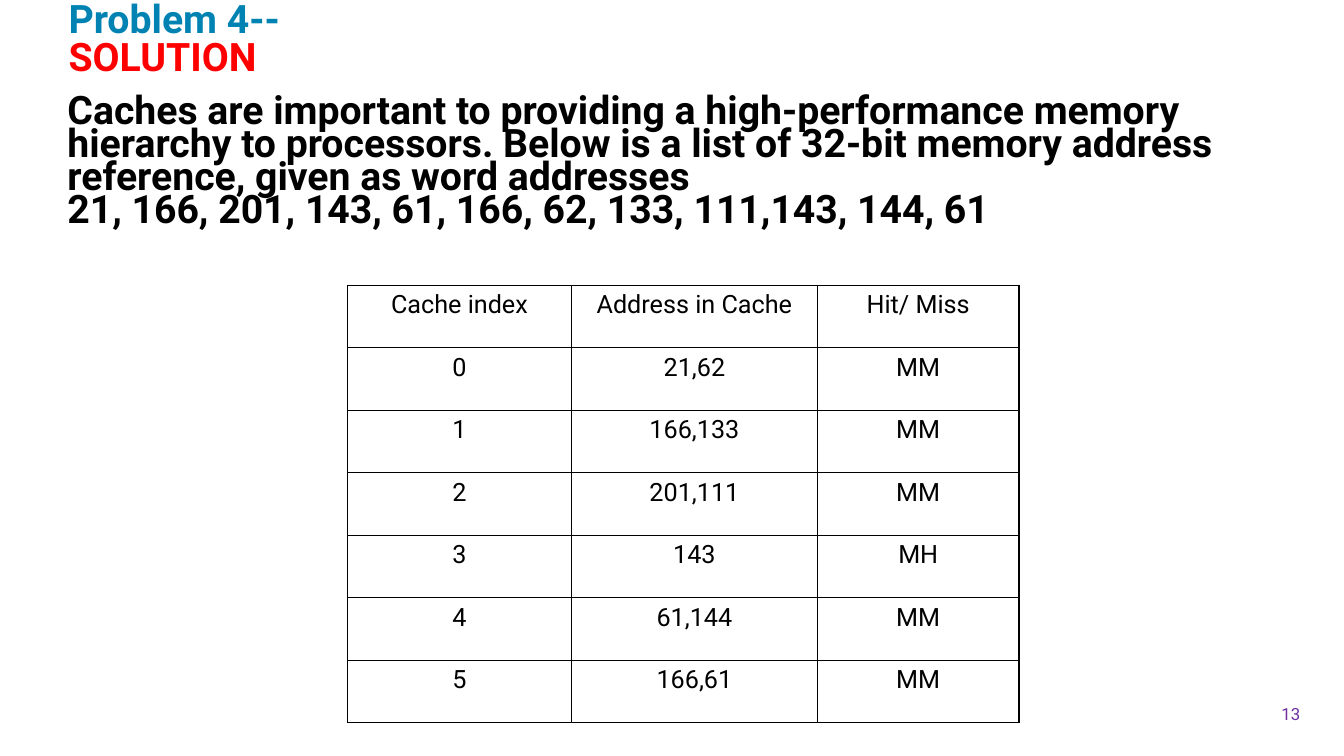
import pptx
import pptx.dml.color
import pptx.enum.text
import pptx.oxml
import pptx.oxml.ns
import pptx.util
from pptx.dml.color import RGBColor
from pptx.enum.text import MSO_ANCHOR, PP_ALIGN
from pptx.util import Cm

BLUE = RGBColor(0x00, 0x83, 0xB3)
RED = RGBColor(0xFF, 0x00, 0x00)
BLACK = RGBColor(0x00, 0x00, 0x00)
PURPLE = RGBColor(0x70, 0x30, 0xA0)

CACHE_ROWS = [
    ("Cache index", "Address in Cache", "Hit/ Miss"),
    ("0", "21,62", "MM"),
    ("1", "166,133", "MM"),
    ("2", "201,111", "MM"),
    ("3", "143", "MH"),
    ("4", "61,144", "MM"),
    ("5", "166,61", "MM"),
]
COLUMN_WIDTHS = [5.64, 6.2, 5.08]


def add_span(para, text, size=28, color=BLACK, bold=False):
    span = para.add_run()
    span.text = text
    span.font.name = "Roboto"
    span.font.size = pptx.util.Pt(size)
    span.font.bold = bold
    span.font.color.rgb = color


def add_box(page, left, top, width, height, anchor):
    """Add a wrapping text box, in centimetres, and return its first paragraph."""
    box = page.shapes.add_textbox(Cm(left), Cm(top), Cm(width), Cm(height))
    box.text_frame.word_wrap = True
    box.text_frame.vertical_anchor = anchor
    return box.text_frame.paragraphs[0]


deck = pptx.Presentation()
deck.slide_width = Cm(33.87)
deck.slide_height = Cm(19.05)
page = deck.slides.add_slide(deck.slide_layouts[6])

# Slide number
para = add_box(page, 30.68, 17.48, 2.34, 1.02, MSO_ANCHOR.MIDDLE)
para.alignment = PP_ALIGN.RIGHT
add_span(para, "13", size=12, color=PURPLE)

# Title
para = add_box(page, 1.48, 0.64, 10.59, 1.47, MSO_ANCHOR.BOTTOM)
para.line_spacing = 0.8
add_span(para, "Problem 4-- ", color=BLUE, bold=True)
add_span(para, "SOLUTION", color=RED, bold=True)

# Cache table
table = page.shapes.add_table(
    len(CACHE_ROWS), len(COLUMN_WIDTHS),
    Cm(8.76), Cm(7.19), Cm(sum(COLUMN_WIDTHS)), Cm(11.02),
).table
table.first_row = False
table.horz_banding = False
for column, width in zip(table.columns, COLUMN_WIDTHS):
    column.width = Cm(width)

for row, texts in zip(table.rows, CACHE_ROWS):
    for cell, text in zip(row.cells, texts):
        cell.fill.background()
        properties = cell._tc.get_or_add_tcPr()
        for position, side in enumerate(("lnL", "lnR", "lnT", "lnB")):
            border = pptx.oxml.parse_xml(
                f'<a:{side} {pptx.oxml.ns.nsdecls("a")} w="12700">'
                f'<a:solidFill><a:srgbClr val="{BLACK}"/></a:solidFill></a:{side}>'
            )
            properties.insert(position, border)
        para = cell.text_frame.paragraphs[0]
        para.alignment = PP_ALIGN.CENTER
        add_span(para, text, size=18)

# Problem statement
para = add_box(page, 1.45, 2.11, 31.55, 3.81, MSO_ANCHOR.BOTTOM)
para.line_spacing = 0.7
add_span(
    para,
    "Caches are important to providing a high-performance memory hierarchy to "
    "processors. Below is a list of 32-bit memory address reference, given as "
    "word addresses",
    bold=True,
)
para.add_line_break()
add_span(para, "21, 166, 201, 143, 61, 166, 62, 133, 111,143, 144, 61", bold=True)

deck.save("out.pptx")
